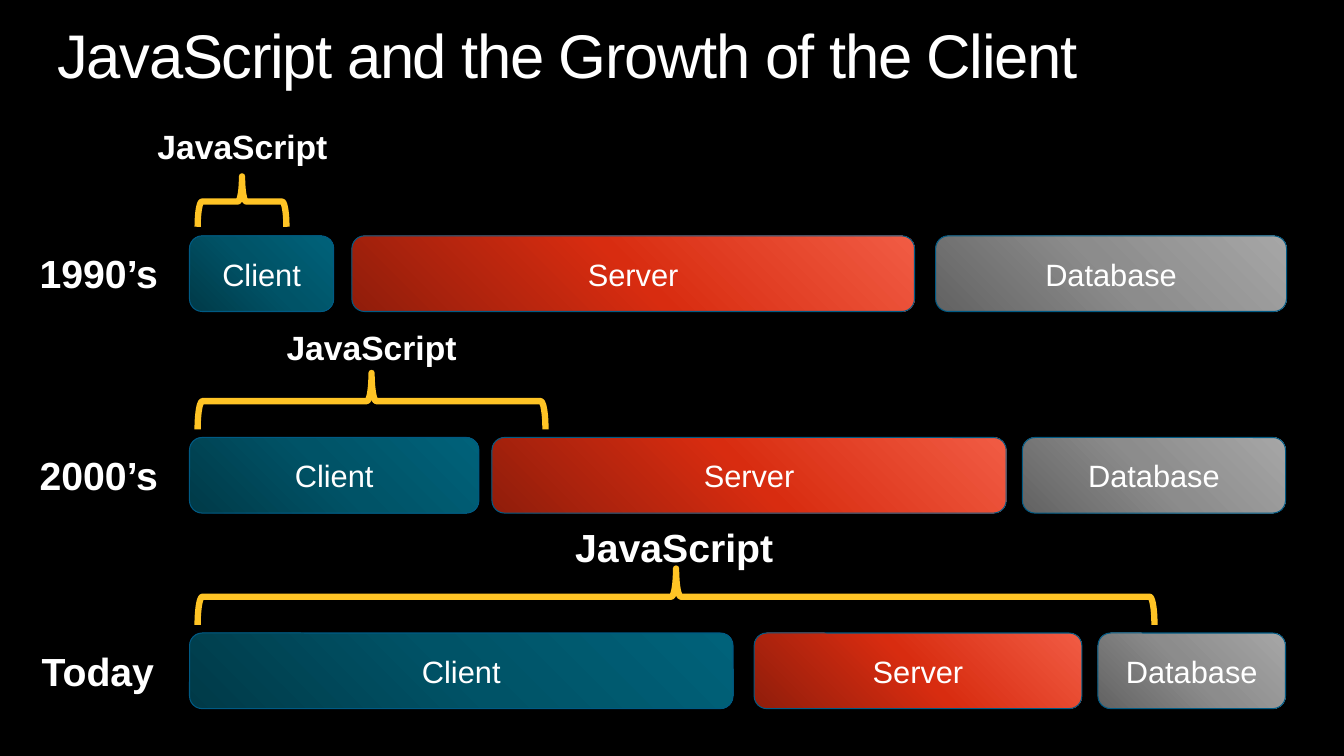
import copy
from dataclasses import dataclass
import pptx
import pptx.dml.color
import pptx.enum.shapes
import pptx.enum.text
import pptx.util

RGB = pptx.dml.color.RGBColor
KIND = pptx.enum.shapes.MSO_SHAPE
ALIGN = pptx.enum.text.PP_ALIGN
ANCHOR = pptx.enum.text.MSO_ANCHOR
FIT = pptx.enum.text.MSO_AUTO_SIZE

PX = 9144
BLACK = RGB(0x00, 0x00, 0x00)
WHITE = RGB(0xFF, 0xFF, 0xFF)
GOLD = RGB(0xFF, 0xC4, 0x25)
EDGE = RGB(0x00, 0x5A, 0x84)
TEAL = (RGB(0x00, 0x3A, 0x48), RGB(0x00, 0x53, 0x67), RGB(0x00, 0x62, 0x7A))
RED = (RGB(0x90, 0x1D, 0x0B), RGB(0xD8, 0x2C, 0x10), RGB(0xF1, 0x5C, 0x44))
GRAY = (RGB(0x62, 0x62, 0x62), RGB(0x8C, 0x8C, 0x8C), RGB(0xA6, 0xA6, 0xA6))
TIERS = (("Client", TEAL), ("Server", RED), ("Database", GRAY))
BAR_TALL = 75
BRACE_LEFT = 196


@dataclass
class Box:
    left: int
    top: int
    wide: int
    tall: int

    def emu(self) -> tuple[int, ...]:
        return tuple(round(n * PX) for n in (self.left, self.top, self.wide, self.tall))


@dataclass
class Era:
    name: str
    label: Box
    top: int
    spans: tuple[tuple[int, int], ...]
    brace: Box
    script: Box
    size: int


ERAS = (
    Era("1990’s", Box(0, 247, 196, 47), 234, ((188, 143), (349, 558), (928, 348)),
        Box(BRACE_LEFT, 175, 88, 50), Box(147, 125, 187, 40), 24),
    Era("2000’s", Box(0, 448, 196, 47), 434, ((188, 287), (488, 510), (1014, 261)),
        Box(BRACE_LEFT, 370, 345, 56), Box(249, 324, 239, 40), 24),
    Era("Today", Box(-1, 642, 196, 47), 628, ((188, 539), (748, 325), (1089, 186)),
        Box(BRACE_LEFT, 564, 949, 56), Box(549, 519, 239, 47), 28),
)


def write(frame, text: str, size: int, bold: bool = False, align=ALIGN.CENTER):
    frame.word_wrap = True
    frame.text = text
    para = frame.paragraphs[0]
    para.alignment = align
    font = para.font
    font.name = "Arial"
    font.size = pptx.util.Pt(size)
    font.bold = bold
    font.color.rgb = WHITE
    return para


def clear(frame) -> None:
    frame.margin_left = frame.margin_right = 0
    frame.margin_top = frame.margin_bottom = 0
    frame.vertical_anchor = ANCHOR.TOP


def add_title(slide, text: str) -> None:
    title = slide.shapes.title
    title.left, title.top, title.width, title.height = Box(57, 25, 1219, 67).emu()
    frame = title.text_frame
    clear(frame)
    frame.auto_size = FIT.NONE
    para = write(frame, text, 44, align=ALIGN.LEFT)
    para.line_spacing = 0.9
    for props in title.element.xpath(".//a:defRPr"):
        props.set("spc", "-100")


def add_label(slide, box: Box, text: str, size: int) -> None:
    frame = slide.shapes.add_textbox(*box.emu()).text_frame
    clear(frame)
    write(frame, text, size, bold=True)


def add_bar(slide, box: Box, text: str, tones: tuple[RGB, ...]) -> None:
    bar = slide.shapes.add_shape(KIND.ROUNDED_RECTANGLE, *box.emu())
    bar.shadow.inherit = False
    bar.fill.gradient()
    bar.fill.gradient_angle = 45
    first = bar.element.xpath(".//a:gs")[0]
    first.addnext(copy.deepcopy(first))
    for stop, spot, tone in zip(bar.fill.gradient_stops, (0, 0.5, 1), tones):
        stop.position = spot
        stop.color.rgb = tone
    bar.line.color.rgb = EDGE
    bar.line.width = pptx.util.Pt(0.75)
    bar.text_frame.vertical_anchor = ANCHOR.MIDDLE
    write(bar.text_frame, text, 22)


def add_brace(slide, box: Box) -> None:
    shift = (box.wide - box.tall) / 2
    turned = Box(box.left + shift, box.top - shift, box.tall, box.wide)
    brace = slide.shapes.add_shape(KIND.LEFT_BRACE, *turned.emu())
    brace.rotation = 90
    brace.shadow.inherit = False
    brace.fill.background()
    brace.line.color.rgb = GOLD
    brace.line.width = pptx.util.Pt(4.5)


def add_era(slide, era: Era) -> None:
    for (left, wide), (text, tones) in zip(era.spans, TIERS):
        add_bar(slide, Box(left, era.top, wide, BAR_TALL), text, tones)
    add_brace(slide, era.brace)
    add_label(slide, era.script, "JavaScript", era.size)
    add_label(slide, era.label, era.name, 28)


def main() -> None:
    deck = pptx.Presentation()
    deck.slide_width, deck.slide_height = 1333 * PX, 750 * PX
    slide = deck.slides.add_slide(deck.slide_layouts[5])
    slide.background.fill.solid()
    slide.background.fill.fore_color.rgb = BLACK
    add_title(slide, "JavaScript and the Growth of the Client")
    for era in ERAS:
        add_era(slide, era)
    deck.save("out.pptx")


if __name__ == "__main__":
    main()
